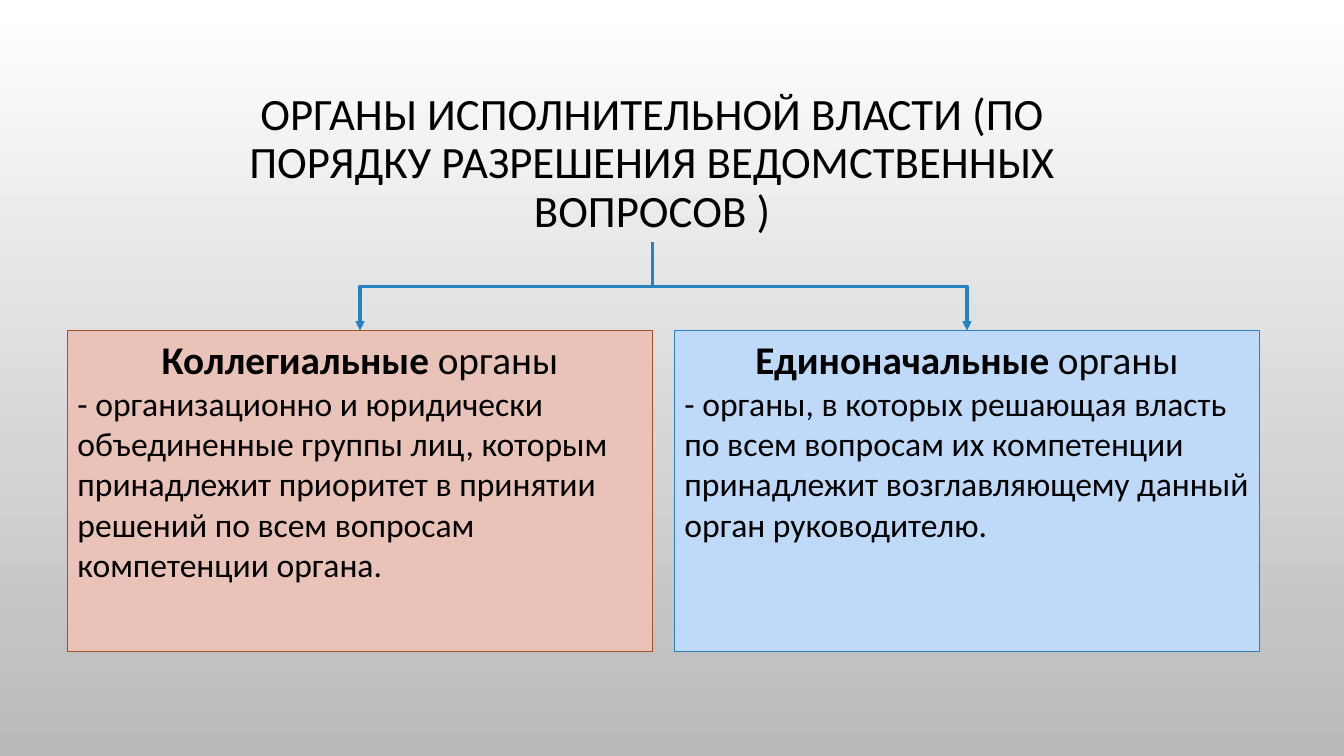
from lxml.etree import SubElement
from pptx import Presentation
from pptx.dml.color import RGBColor
from pptx.enum.shapes import MSO_CONNECTOR, MSO_SHAPE
from pptx.enum.text import MSO_ANCHOR, PP_ALIGN
from pptx.oxml.ns import qn
from pptx.util import Inches, Pt

BLACK = RGBColor(0, 0, 0)
WHITE = RGBColor(255, 255, 255)
GRAY = RGBColor(0xB9, 0xB9, 0xB9)
ROSE = RGBColor(0xE9, 0xC2, 0xB8)
RUST = RGBColor(0xA5, 0x52, 0x29)
SKY = RGBColor(0xBF, 0xDA, 0xF9)
BLUE = RGBColor(0x26, 0x83, 0xBF)

# Two equal columns in inches, with the title above them
LEFT, WIDE, GAP = 0.67, 5.8, 0.22
TOP, HIGH = 3.28, 3.18
HEAD = (2.09, 0.79, 8.76, 1.61)
START = (HEAD[0] + HEAD[2] / 2, HEAD[1] + HEAD[3])

BODIES = [
    ("Коллегиальные", "- организационно и юридически объединенные группы лиц, "
     "которым принадлежит приоритет в принятии решений по всем вопросам "
     "компетенции органа.", ROSE, RUST),
    ("Единоначальные", "- органы, в которых решающая власть по всем вопросам "
     "их компетенции принадлежит возглавляющему данный орган руководителю.",
     SKY, BLUE),
]


def write(para, text, size, bold=False):
    """Add a run of black Calibri to a paragraph."""
    run = para.add_run()
    run.text = text
    style = {"name": "Calibri", "size": Pt(size), "bold": bold}
    for key, value in style.items():
        setattr(run.font, key, value)
    run.font.color.rgb = BLACK


def link(shapes, start, end):
    """Draw an elbow arrow that leaves downward, turned from a level one."""
    (x1, y1), (x2, y2) = start, end
    midx, midy = (x1 + x2) / 2, (y1 + y2) / 2
    drop, reach = (y2 - y1) / 2, abs(x2 - x1) / 2
    side = 1 if x2 > x1 else -1
    ends = (midx + side * drop, midy - reach, midx - side * drop, midy + reach)
    arrow = shapes.add_connector(MSO_CONNECTOR.ELBOW, *map(Inches, ends))
    arrow.line.color.rgb = BLUE
    arrow.line.width = Pt(2.25)
    props = arrow.element.spPr
    turn = 270 if side > 0 else 90
    props.find(qn("a:xfrm")).set("rot", str(turn * 60000))
    SubElement(props.find(qn("a:ln")), qn("a:tailEnd"), type="triangle")
    SubElement(props, qn("a:effectLst"))


deck = Presentation()
deck.slide_width, deck.slide_height = Inches(13.33), Inches(7.5)
slide = deck.slides.add_slide(deck.slide_layouts[6])

back = slide.background.fill
back.gradient()
back.gradient_angle = 270
for stop, color in zip(back.gradient_stops, (WHITE, GRAY)):
    stop.color.rgb = color

title = slide.shapes.add_textbox(*map(Inches, HEAD)).text_frame
title.word_wrap = True
title.vertical_anchor = MSO_ANCHOR.BOTTOM
para = title.paragraphs[0]
para.alignment = PP_ALIGN.CENTER
para.line_spacing = 0.9
write(para, "ОРГАНЫ ИСПОЛНИТЕЛЬНОЙ ВЛАСТИ (ПО ПОРЯДКУ РАЗРЕШЕНИЯ "
      "ВЕДОМСТВЕННЫХ ВОПРОСОВ )", 32)

for col, (name, text, fill, edge) in enumerate(BODIES):
    x = LEFT + col * (WIDE + GAP)
    box = slide.shapes.add_shape(
        MSO_SHAPE.RECTANGLE, *map(Inches, (x, TOP, WIDE, HIGH)))
    box.shadow.inherit = False
    box.fill.solid()
    box.fill.fore_color.rgb = fill
    box.line.color.rgb = edge
    box.line.width = Pt(0.75)

    frame = box.text_frame
    frame.word_wrap = True
    frame.vertical_anchor = MSO_ANCHOR.TOP
    para = frame.paragraphs[0]
    para.alignment = PP_ALIGN.CENTER
    write(para, name, 28, True)
    write(para, " органы", 28)
    para = frame.add_paragraph()
    para.alignment = PP_ALIGN.LEFT
    write(para, text, 24)

    link(slide.shapes, START, (x + WIDE / 2, TOP))

deck.save("out.pptx")
